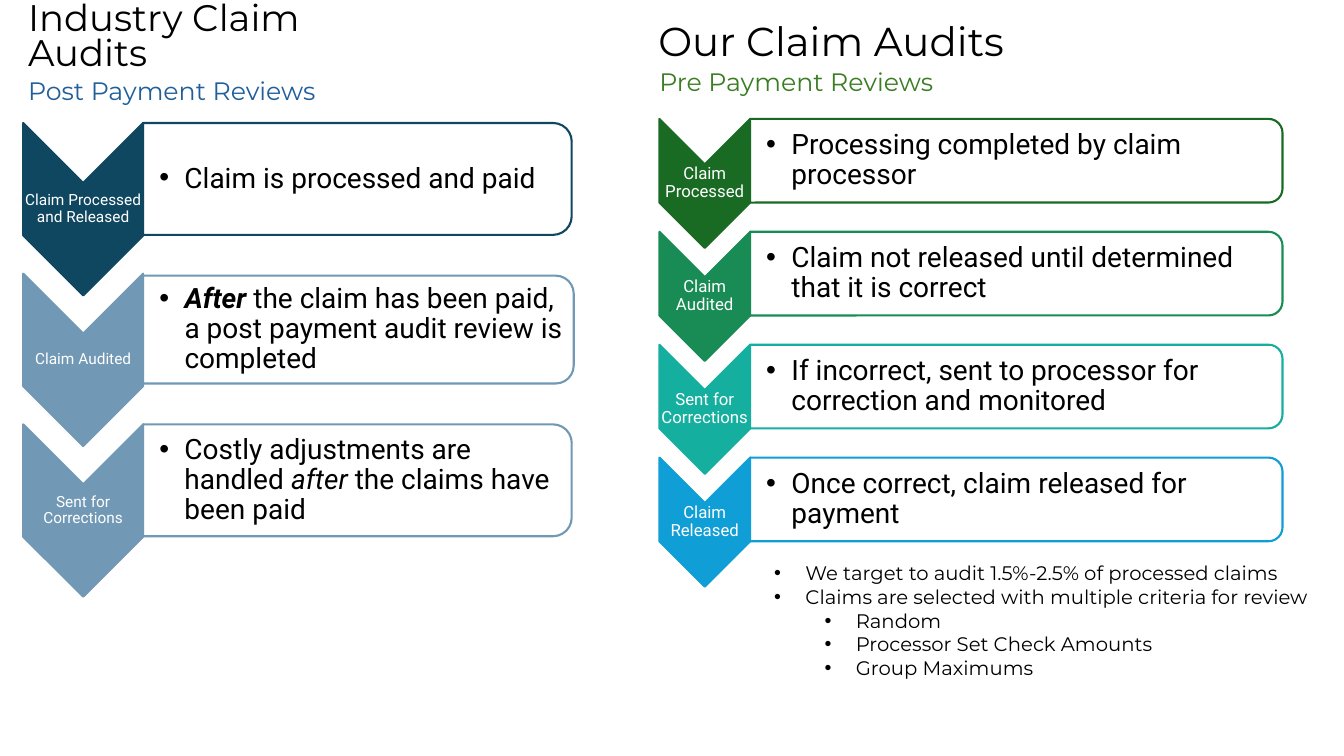
"""Build a slide comparing post-payment and pre-payment claim audits."""
from dataclasses import dataclass

from lxml.etree import SubElement
from pptx import Presentation
from pptx.dml.color import RGBColor
from pptx.enum.shapes import MSO_SHAPE as Preset
from pptx.enum.text import MSO_ANCHOR as Anchor, MSO_AUTO_SIZE as AutoSize, PP_ALIGN as Align
from pptx.oxml.ns import qn
from pptx.util import Inches, Pt


@dataclass(frozen=True)
class Theme:
    heading_font: str = "Montserrat"
    body_font: str = "Roboto"
    black: str = "000000"
    white: str = "FFFFFF"
    blue: str = "215F9A"
    green: str = "3B7D23"
    navy: str = "104760"
    steel: str = "7198B4"
    forest: str = "196B24"
    emerald: str = "188C54"
    teal: str = "15AF9F"
    sky: str = "0F9ED5"
    title_size: float = 28.8
    left_title_size: float = 26.4
    subtitle_size: float = 18
    step_size: float = 20
    left_label_size: float = 11
    right_label_size: float = 12
    note_size: float = 14


theme = Theme()


def write_text(shape, paragraphs, font, size, color, anchor=Anchor.TOP, align=Align.LEFT,
               spacing=None, margins=None, indent=None):
    """Fill a shape with (level, runs) paragraphs; an indent adds hanging bullets."""
    frame = shape.text_frame
    frame.word_wrap = True
    frame.auto_size = AutoSize.NONE
    frame.vertical_anchor = anchor
    if margins:
        frame.margin_left, frame.margin_top, frame.margin_right, frame.margin_bottom = map(Inches, margins)
    for index, (level, runs) in enumerate(paragraphs):
        paragraph = frame.paragraphs[0] if index == 0 else frame.add_paragraph()
        paragraph.alignment = align
        paragraph.line_spacing = spacing
        if indent:
            properties = paragraph._p.get_or_add_pPr()
            properties.set("marL", str(Inches(indent + level * 0.5)))
            properties.set("indent", str(Inches(-indent)))
            SubElement(properties, qn("a:buFont"), typeface="Arial")
            SubElement(properties, qn("a:buChar"), char="•")
        paragraph.font.name = font
        paragraph.font.size = Pt(size)
        paragraph.font.color.rgb = RGBColor.from_string(color)
        for text, bold, italic in runs:
            run = paragraph.add_run()
            run.text = text
            run.font.bold = bold
            run.font.italic = italic


def add_rotated(shapes, preset, center_x, center_y, width, height, fill, line):
    """Add a preset turned by 90 degrees that covers width by height on the slide."""
    shape = shapes.add_shape(preset, Inches(center_x - height / 2), Inches(center_y - width / 2),
                             Inches(height), Inches(width))
    shape.rotation = 90
    shape.shadow.inherit = False
    shape.fill.solid()
    shape.fill.fore_color.rgb = RGBColor.from_string(fill)
    shape.line.color.rgb = RGBColor.from_string(line)
    shape.line.width = Pt(1.5)
    return shape


def_run = (None, None)
presentation = Presentation()
presentation.slide_width = Inches(13.33)
presentation.slide_height = Inches(7.5)
slide = presentation.slides.add_slide(presentation.slide_layouts[5])

title = slide.shapes.title
title.left, title.top, title.width, title.height = map(Inches, (6.43, 0.23, 4.14, 0.47))
write_text(title, [(0, [("Our Claim Audits", *def_run)])], theme.heading_font, theme.title_size,
           theme.black, Anchor.BOTTOM, spacing=0.9)

headings = [
    ("Industry Claim Audits", (0.18, 0.31, 4.14, 0.47), theme.left_title_size, theme.black, Anchor.BOTTOM, 0.8),
    ("Post Payment Reviews", (0.18, 0.7, 3.28, 0.71), theme.subtitle_size, theme.blue, Anchor.TOP, None),
    ("Pre Payment Reviews", (6.44, 0.61, 3.28, 0.71), theme.subtitle_size, theme.green, Anchor.TOP, None),
]
for text, box, size, color, anchor, spacing in headings:
    heading = slide.shapes.add_textbox(*map(Inches, box))
    write_text(heading, [(0, [(text, *def_run)])], theme.heading_font, size, color, anchor, spacing=spacing)

industry_steps = [
    ("Claim Processed and Released", theme.navy, 4.25, 1.11, [("Claim is processed and paid", *def_run)]),
    ("Claim Audited", theme.steel, 4.27, 1.07,
     [("After ", True, True),
      ("the claim has been paid, a post payment audit review is completed", *def_run)]),
    ("Sent for Corrections", theme.steel, 4.25, 1.11,
     [("Costly adjustments are handled ", *def_run), ("after", None, True),
      (" the claims have been paid", *def_run)]),
]
prepayment_steps = [
    (label, color, 5.28, 0.83, [(text, *def_run)])
    for label, color, text in [
        ("Claim Processed", theme.forest, "Processing completed by claim processor"),
        ("Claim Audited", theme.emerald, "Claim not released until determined that it is correct"),
        ("Sent for Corrections", theme.teal, "If incorrect, sent to processor for correction and monitored"),
        ("Claim Released", theme.sky, "Once correct, claim released for payment"),
    ]
]
flows = [
    (0.23, 1.22, 1.495, 1.19, 1.71, 0.555, theme.left_label_size, industry_steps),
    (6.54, 1.18, 1.12, 0.9, 1.28, 0.415, theme.right_label_size, prepayment_steps),
]
for left, top, pitch, width, height, panel_middle, label_size, steps in flows:
    shapes = slide.shapes.add_group_shape().shapes
    panel_left = left + width
    for index, (label, color, panel_width, panel_height, runs) in enumerate(steps):
        step_top = top + index * pitch
        center_y = step_top + height / 2
        panel_y = step_top + panel_middle
        add_rotated(shapes, Preset.CHEVRON, left + width / 2, center_y, width, height, color, color)
        label_height = height - width
        label_box = shapes.add_textbox(Inches(left), Inches(center_y - label_height / 2),
                                       Inches(width), Inches(label_height))
        write_text(label_box, [(0, [(label, *def_run)])], theme.body_font, label_size, theme.white,
                   Anchor.MIDDLE, Align.CENTER, 0.9, (0.01, 0.01, 0.01, 0.01))
        panel = add_rotated(shapes, Preset.ROUND_2_SAME_RECTANGLE, panel_left + panel_width / 2, panel_y,
                            panel_width, panel_height, theme.white, color)
        fill_color = panel._element.xpath("./p:spPr/a:solidFill/a:srgbClr")[0]
        SubElement(fill_color, qn("a:alpha"), val="90000")
        text_height = panel_height - 0.1
        panel_text = shapes.add_textbox(Inches(panel_left), Inches(panel_y - text_height / 2),
                                        Inches(panel_width - 0.05), Inches(text_height))
        write_text(panel_text, [(0, runs)], theme.body_font, theme.step_size, theme.black, Anchor.MIDDLE,
                   spacing=0.9, margins=(0.16, 0.01, 0.01, 0.01), indent=0.25)

notes = [
    (0, "We target to audit 1.5%-2.5% of processed claims"),
    (0, "Claims are selected with multiple criteria for review"),
    (1, "Random"),
    (1, "Processor Set Check Amounts"),
    (1, "Group Maximums"),
]
audit_notes = slide.shapes.add_textbox(Inches(7.58), Inches(5.52), Inches(5.75), Inches(1.28))
write_text(audit_notes, [(level, [(text, *def_run)]) for level, text in notes], theme.heading_font,
           theme.note_size, theme.black, indent=0.31)

presentation.save("out.pptx")
